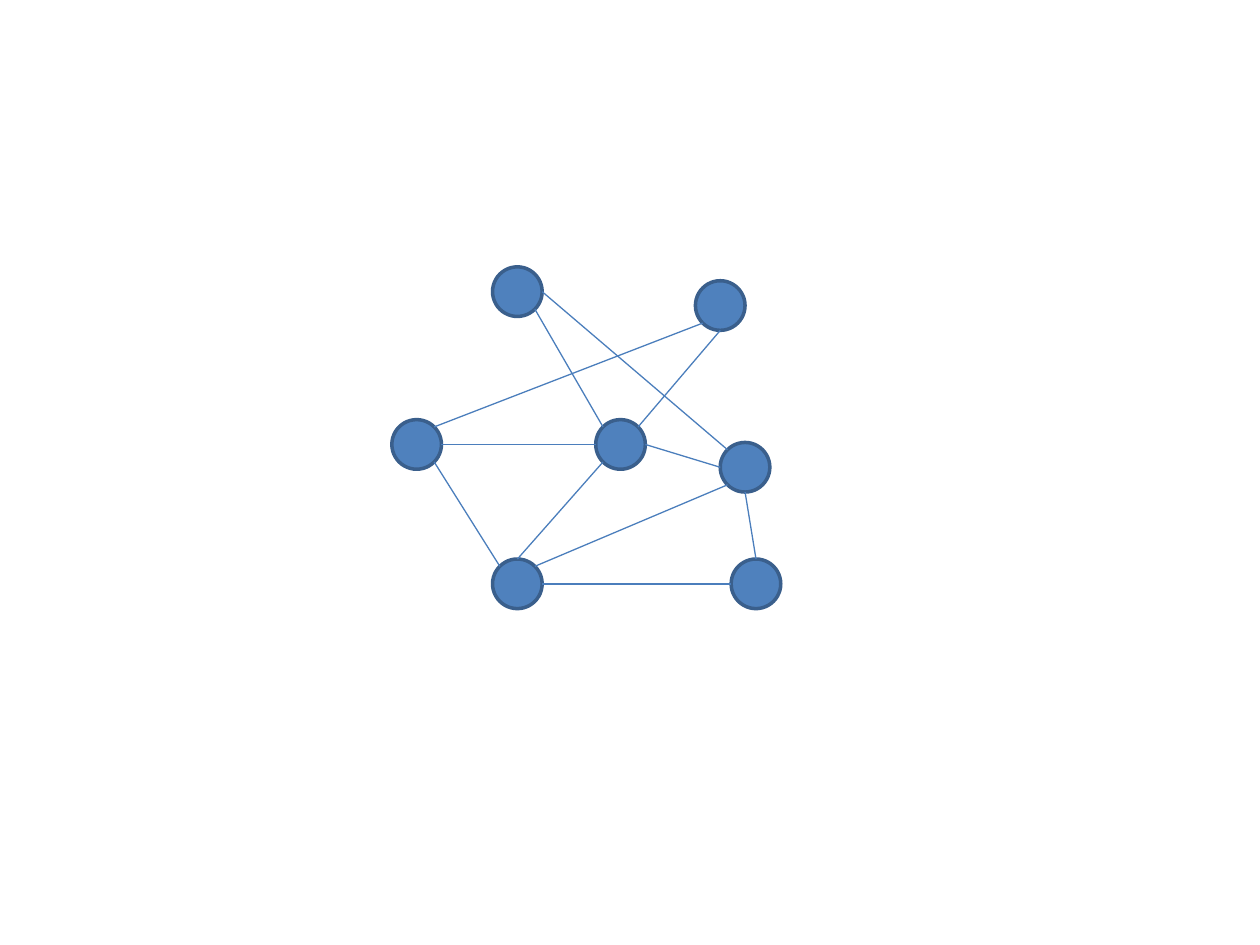
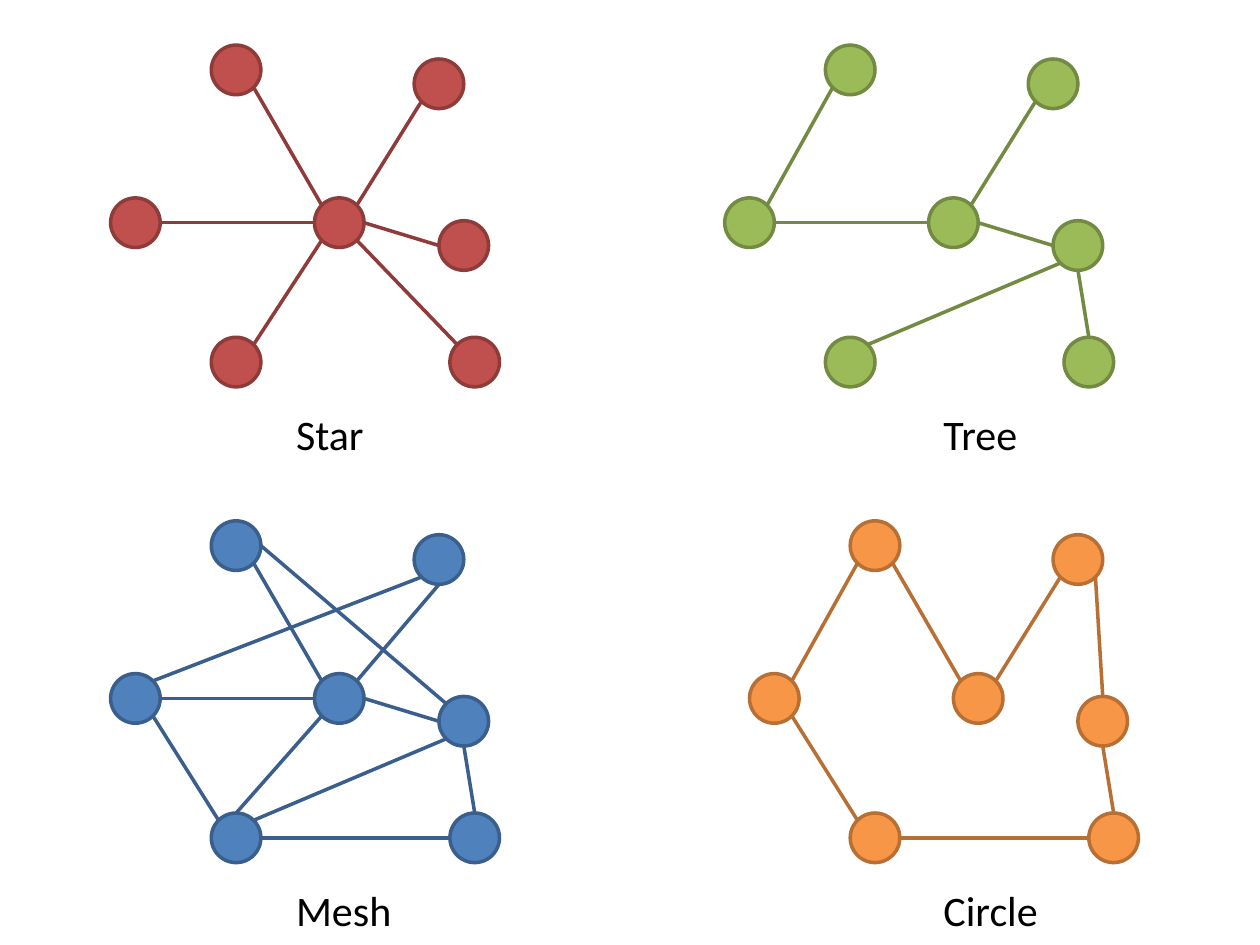
import math
from dataclasses import dataclass

import pptx
import pptx.dml.color
import pptx.enum.shapes
import pptx.enum.text
import pptx.oxml
import pptx.oxml.ns
import pptx.util

Cm = pptx.util.Cm
Pt = pptx.util.Pt
rgb = pptx.dml.color.RGBColor.from_string


@dataclass(frozen=True)
class Theme:
    # Each pair is fill, outline
    red: tuple = ("C0504D", "8E3B39")
    green: tuple = ("9BBB59", "738A42")
    blue: tuple = ("4F81BD", "3A5F8C")
    orange: tuple = ("F79646", "B76F34")
    thin_link: str = "4B7EBC"
    text: str = "000000"
    font: str = "Calibri"
    label_size: float = 24
    line_width: float = 2
    thin_width: float = 0.75


THEME = Theme()

# Node layout shared by every network: top-left corners in cm
DIAMETER = 1.0
NODES = {
    "hub": (4.11, 3.08),
    "upper right": (6.12, 0.28),
    "upper left": (2.03, 0),
    "lower right": (6.84, 5.89),
    "lower left": (2.03, 5.89),
    "right": (6.62, 3.54),
    "left": (0, 3.08),
}

# Points on a node's rim, clockwise from the right in steps of 45 degrees
RIM = ("E", "SE", "S", "SW", "W", "NW", "N", "NE")

# Links: node, rim point, node, rim point
STAR = [
    ("upper left", "SE", "hub", "NW"),
    ("hub", "NE", "upper right", "SW"),
    ("hub", "E", "right", "W"),
    ("hub", "SE", "lower right", "NW"),
    ("hub", "SW", "lower left", "NE"),
    ("hub", "W", "left", "E"),
]
TREE = [
    ("upper left", "SW", "left", "NE"),
    ("hub", "NE", "upper right", "SW"),
    ("hub", "E", "right", "W"),
    ("right", "S", "lower right", "N"),
    ("right", "SW", "lower left", "NE"),
    ("hub", "W", "left", "E"),
]
MESH = [
    ("upper left", "SE", "hub", "NW"),
    ("hub", "NE", "upper right", "S"),
    ("hub", "E", "right", "W"),
    ("right", "S", "lower right", "N"),
    ("right", "SW", "lower left", "NE"),
    ("hub", "W", "left", "E"),
    ("lower left", "N", "hub", "SW"),
    ("lower left", "NW", "left", "SE"),
    ("lower right", "W", "lower left", "E"),
    ("right", "NW", "upper left", "E"),
    ("left", "NE", "upper right", "SW"),
]
CIRCLE = [
    ("upper left", "SW", "left", "NE"),
    ("hub", "NE", "upper right", "SW"),
    ("upper right", "SE", "right", "N"),
    ("right", "S", "lower right", "N"),
    ("lower right", "W", "lower left", "E"),
    ("lower left", "NW", "left", "SE"),
    ("upper left", "SE", "hub", "NW"),
]


def add_node(s, x, y, colors):
    fill, outline = colors
    sp = s.shapes.add_shape(pptx.enum.shapes.MSO_SHAPE.OVAL,
                            Cm(x), Cm(y), Cm(DIAMETER), Cm(DIAMETER))
    sp.shadow.inherit = False
    sp.fill.solid()
    sp.fill.fore_color.rgb = rgb(fill)
    sp.line.color.rgb = rgb(outline)
    sp.line.width = Pt(THEME.line_width)


def rim_point(origin, node, side):
    angle = RIM.index(side) * math.pi / 4
    radius = DIAMETER / 2
    x, y = NODES[node]
    return (Cm(origin[0] + x + radius + radius * math.cos(angle)),
            Cm(origin[1] + y + radius + radius * math.sin(angle)))


def add_link(s, start, end, color, width):
    link = s.shapes.add_connector(pptx.enum.shapes.MSO_CONNECTOR.STRAIGHT,
                                  *start, *end)
    link.line.color.rgb = rgb(color)
    link.line.width = Pt(width)
    pr = link._element.spPr
    pr.append(pptx.oxml.parse_xml(
        f'<a:effectLst {pptx.oxml.ns.nsdecls("a")}/>'))


def add_network(s, origin, colors, links, link_color=None,
                link_width=THEME.line_width):
    for x, y in NODES.values():
        add_node(s, origin[0] + x, origin[1] + y, colors)
    for node_a, side_a, node_b, side_b in links:
        add_link(s, rim_point(origin, node_a, side_a),
                 rim_point(origin, node_b, side_b),
                 link_color or colors[1], link_width)


def add_label(s, x, y, width, text):
    sp = s.shapes.add_textbox(Cm(x), Cm(y), Cm(width), Cm(1.28))
    tf = sp.text_frame
    tf.word_wrap = False
    tf.auto_size = pptx.enum.text.MSO_AUTO_SIZE.SHAPE_TO_FIT_TEXT
    r = tf.paragraphs[0].add_run()
    r.text = text
    r.font.name = THEME.font
    r.font.size = Pt(THEME.label_size)
    r.font.color.rgb = rgb(THEME.text)


def build_mesh_slide(s):
    add_network(s, (7.9, 5.38), THEME.blue, MESH,
                THEME.thin_link, THEME.thin_width)


def build_topologies_slide(s):
    left, tree_left, circle_left = 2.23, 14.61, 15.11
    rows = (0.91, 10.5)
    label_drop = 7.21
    label_lefts = (5.72, 18.77)
    # Network left, row, column, colours, links, label, label width
    networks = [
        (left, 0, 0, THEME.red, STAR, "Star", 1.88),
        (tree_left, 0, 1, THEME.green, TREE, "Tree", 2.03),
        (left, 1, 0, THEME.blue, MESH, "Mesh", 2.46),
        (circle_left, 1, 1, THEME.orange, CIRCLE, "Circle", 2.44),
    ]
    for x, row, column, colors, links, label, width in networks:
        add_network(s, (x, rows[row]), colors, links)
        add_label(s, label_lefts[column], rows[row] + label_drop, width, label)


def main():
    prs = pptx.Presentation()
    prs.slide_width, prs.slide_height = Cm(25.4), Cm(19.05)
    blank = prs.slide_layouts[6]
    for build in (build_mesh_slide, build_topologies_slide):
        build(prs.slides.add_slide(blank))
    prs.save("out.pptx")


if __name__ == "__main__":
    main()
